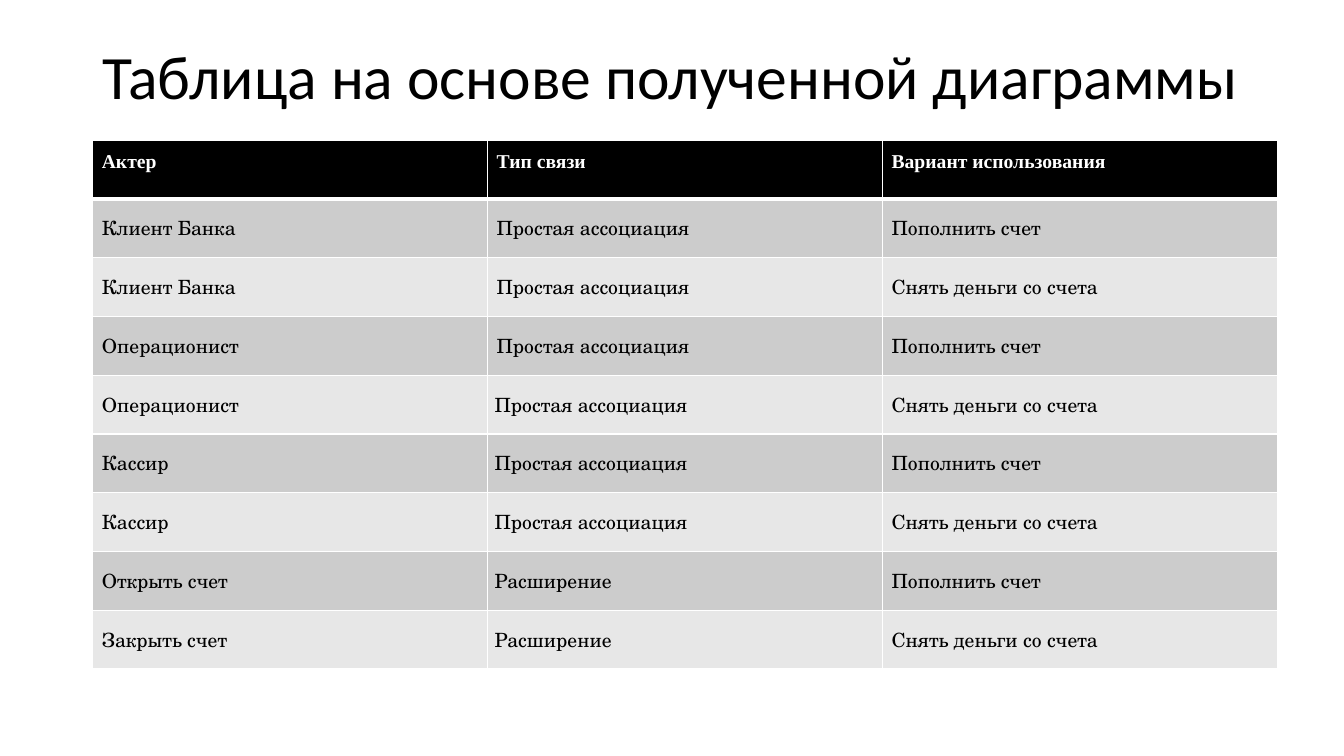
from dataclasses import dataclass

from lxml.etree import SubElement as Sub
from pptx import Presentation
from pptx.dml.color import RGBColor as RGB
from pptx.enum.text import MSO_ANCHOR as Anchor, PP_ALIGN as Align
from pptx.oxml.ns import qn
from pptx.slide import Slide
from pptx.table import _Cell as Cell
from pptx.text.text import TextFrame as Frame
from pptx.util import Inches, Pt


@dataclass(frozen=True)
class Style:
    font: str
    size: int
    color: str
    bold: bool
    space: float
    align: Align


@dataclass(frozen=True)
class Theme:
    title: Style = Style("Calibri", 44, "000000", False, 0.9, Align.LEFT)
    head: Style = Style("Times New Roman", 14, "FFFFFF", True, 1.5, Align.LEFT)
    body: Style = Style("TeX Gyre Schola", 14, "000000", False, 1.5, Align.JUSTIFY)
    dark: str = "000000"
    bands: tuple[str, str] = ("CCCCCC", "E7E7E7")
    rule: str = "FFFFFF"
    thin: int = 1
    thick: int = 3


@dataclass(frozen=True)
class Link:
    actor: str
    kind: str
    case: str
    inset: float = 0.02


THEME = Theme()
LEFT, WIDTH = 0.92, 11.75
HEADS = ("Актер", "Тип связи", "Вариант использования")
SIMPLE, EXTEND = "Простая ассоциация", "Расширение"
FILL, DRAW = "Пополнить счет", "Снять деньги со счета"
LINKS = (
    Link("Клиент Банка", SIMPLE, FILL),
    Link("Клиент Банка", SIMPLE, DRAW),
    Link("Операционист", SIMPLE, FILL),
    Link("Операционист", SIMPLE, DRAW, 0),
    Link("Кассир", SIMPLE, FILL, 0),
    Link("Кассир", SIMPLE, DRAW, 0),
    Link("Открыть счет", EXTEND, FILL, 0),
    Link("Закрыть счет", EXTEND, DRAW, 0),
)


def write(frame: Frame, text: str, style: Style, inset: float = 0) -> None:
    frame.text = text
    para = frame.paragraphs[0]
    para.alignment = style.align
    para.line_spacing = style.space
    if inset:
        para._p.get_or_add_pPr().set("indent", str(Inches(inset)))
    font = para.runs[0].font
    font.name = style.font
    font.size = Pt(style.size)
    font.bold = style.bold
    font.color.rgb = RGB.from_string(style.color)


def edge(cell: Cell, top: int, base: int) -> None:
    props = cell._tc.get_or_add_tcPr()
    sides = {"L": THEME.thin, "R": THEME.thin, "T": top, "B": base}
    for side, width in sides.items():
        line = Sub(props, qn(f"a:ln{side}"), w=str(Pt(width)))
        paint = Sub(line, qn("a:solidFill"))
        Sub(paint, qn("a:srgbClr"), val=THEME.rule)


def fill_cell(cell: Cell, text: str, row: int, inset: float) -> None:
    cell.margin_left = cell.margin_right = Inches(0.07)
    cell.margin_top = cell.margin_bottom = 0
    top = THEME.thick if row == 1 else THEME.thin
    base = THEME.thick if row == 0 else THEME.thin
    edge(cell, top, base)
    cell.fill.solid()
    shade = THEME.bands[(row - 1) % 2] if row else THEME.dark
    cell.fill.fore_color.rgb = RGB.from_string(shade)
    write(cell.text_frame, text, THEME.body if row else THEME.head, inset)


def add_title(slide: Slide, text: str) -> None:
    box = slide.shapes.add_textbox(
        Inches(LEFT), Inches(0.18), Inches(WIDTH), Inches(1.21)
    )
    frame = box.text_frame
    frame.word_wrap = True
    frame.vertical_anchor = Anchor.MIDDLE
    write(frame, text, THEME.title)


def add_grid(slide: Slide, links: tuple[Link, ...]) -> None:
    rows = (Link(*HEADS), *links)
    table = slide.shapes.add_table(
        len(rows), len(HEADS),
        Inches(LEFT), Inches(1.39), Inches(WIDTH), Inches(5.25),
    ).table
    for row, link in enumerate(rows):
        cells = ((link.actor, 0.02), (link.kind, link.inset), (link.case, 0.02))
        for col, (text, inset) in enumerate(cells):
            fill_cell(table.cell(row, col), text, row, inset)


def main() -> None:
    deck = Presentation()
    deck.slide_width = Inches(13.33)
    deck.slide_height = Inches(7.5)
    slide = deck.slides.add_slide(deck.slide_layouts[6])
    add_title(slide, "Таблица на основе полученной диаграммы")
    add_grid(slide, LINKS)
    deck.save("out.pptx")


if __name__ == "__main__":
    main()
